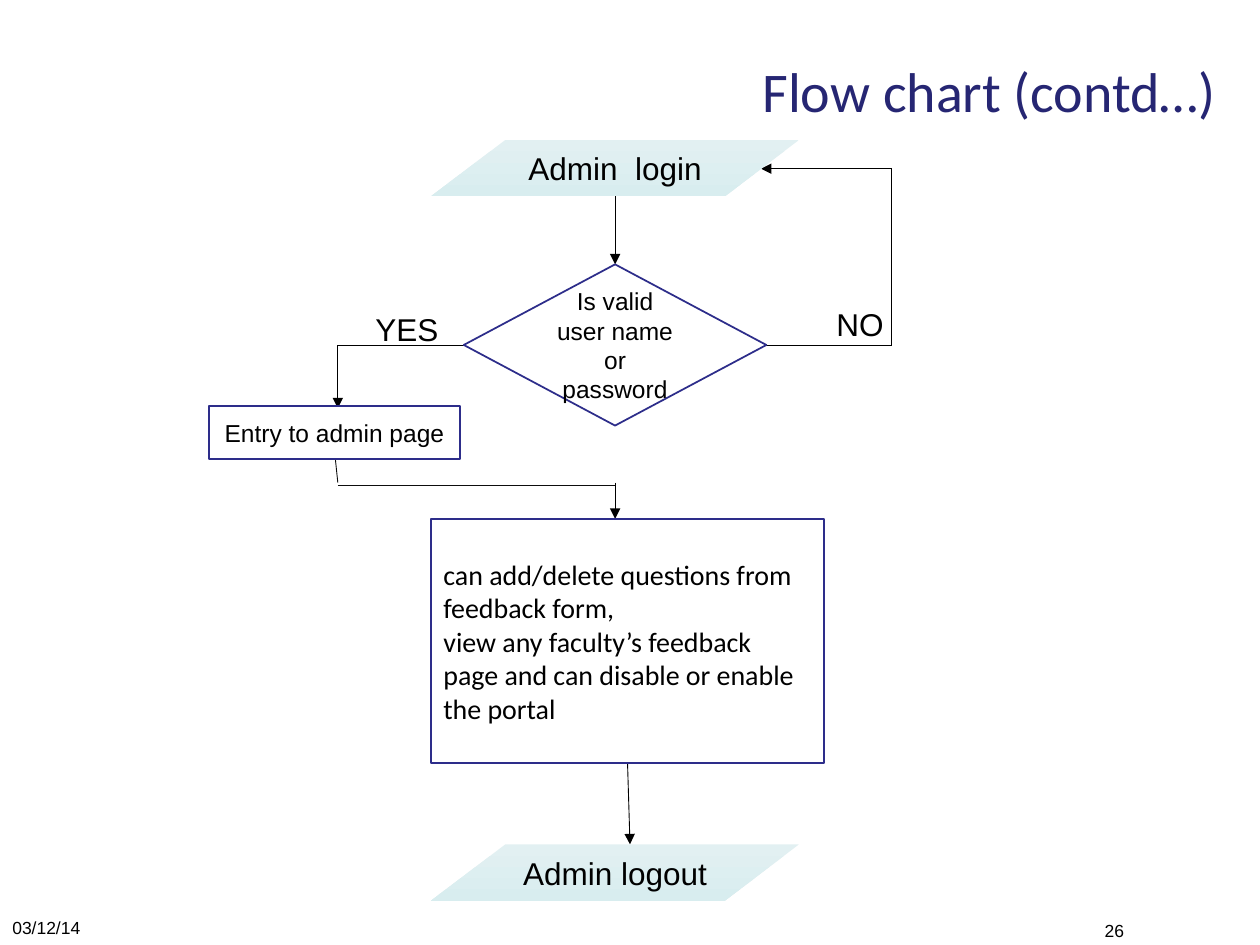
from lxml import etree
from pptx import Presentation
from pptx import util as u
from pptx.dml.color import RGBColor
from pptx.enum import shapes, text
from pptx.oxml import ns

COLORS = {
    "ink": "000000",
    "return": "0D0D0D",
    "outline": "2D2D8A",
    "title": "262673",
    "paper": "FFFFFF",
    "terminal_top": "E2F0F2",
    "terminal_bottom": "D8EDEF",
}


def rgb(name):
    return RGBColor.from_string(COLORS[name])


def cm(*lengths):
    return [u.Cm(length) for length in lengths]


def write(frame, lines, size, font="Arial", color="ink", align=text.PP_ALIGN.LEFT,
          anchor=text.MSO_ANCHOR.MIDDLE, wrap=True):
    frame.word_wrap = wrap
    frame.vertical_anchor = anchor
    for i, line in enumerate(lines):
        paragraph = frame.paragraphs[0] if i == 0 else frame.add_paragraph()
        paragraph.alignment = align
        run = paragraph.add_run()
        run.text = line
        run.font.size = u.Pt(size)
        run.font.name = font
        run.font.color.rgb = rgb(color)


def label(slide, box, words, size, anchor=text.MSO_ANCHOR.TOP, **style):
    frame = slide.shapes.add_textbox(*cm(*box)).text_frame
    write(frame, [words], size, anchor=anchor, **style)


def step(slide, kind, box, lines, size, **style):
    """An outlined white process box or decision."""
    node = slide.shapes.add_shape(kind, *cm(*box))
    node.shadow.inherit = False
    node.fill.solid()
    node.fill.fore_color.rgb = rgb("paper")
    node.line.color.rgb = rgb("outline")
    node.line.width = u.Pt(1)
    write(node.text_frame, lines, size, **style)


def terminal(slide, top, words):
    """A shaded parallelogram that starts or ends the flow."""
    node = slide.shapes.add_shape(
        shapes.MSO_SHAPE.PARALLELOGRAM, *cm(8.69, top, 7.42, 1.14))
    node.adjustments[0] = 1.317
    node.shadow.inherit = False
    node.line.fill.background()
    node.fill.gradient()
    node.fill.gradient_angle = 270
    for stop, name in zip(node.fill.gradient_stops, ("terminal_top", "terminal_bottom")):
        stop.color.rgb = rgb(name)
    write(node.text_frame, [words], 18, align=text.PP_ALIGN.CENTER)


def flow(slide, start, end, arrow=False, color="ink"):
    link = slide.shapes.add_connector(
        shapes.MSO_CONNECTOR.STRAIGHT, *cm(*start, *end))
    link.line.color.rgb = rgb(color)
    link.line.width = u.Pt(0.5)
    if arrow:
        tail = etree.SubElement(link.line._get_or_add_ln(), ns.qn("a:tailEnd"))
        tail.set("type", "triangle")
    etree.SubElement(link._element.spPr, ns.qn("a:effectLst"))


def main():
    deck = Presentation()
    deck.slide_width, deck.slide_height = cm(25.4, 19.05)
    slide = deck.slides.add_slide(deck.slide_layouts[6])
    center = text.PP_ALIGN.CENTER

    # Title and footer
    label(slide, (14.28, 0.23, 11.33, 3.18), "Flow chart (contd…)", 32,
          font="Calibri", color="title", align=center, anchor=text.MSO_ANCHOR.MIDDLE)
    label(slide, (0, 18.36, 5.92, 0.69), "03/12/14", 10)
    label(slide, (22.02, 18.42, 3.38, 0.64), "26", 10)

    # Columns and the height of the decision's corners
    main_x, yes_x, no_x, decision_y = 12.4, 6.81, 17.98, 6.96

    # Login to decision, and the NO branch back to login
    flow(slide, (main_x, 3.96), (main_x, 5.33), arrow=True)
    flow(slide, (15.42, decision_y), (no_x, decision_y))
    flow(slide, (no_x, decision_y), (no_x, 3.4))
    flow(slide, (no_x, 3.4), (15.34, 3.4), arrow=True)

    # YES branch to the admin page, then on to the tasks and logout
    flow(slide, (9.35, decision_y), (yes_x, decision_y))
    flow(slide, (yes_x, decision_y), (yes_x, 8.23), arrow=True)
    flow(slide, (6.76, 9.25), (yes_x, 9.73), color="return")
    flow(slide, (yes_x, 9.78), (main_x, 9.78), color="return")
    flow(slide, (main_x, 9.73), (main_x, 10.46), arrow=True)
    flow(slide, (12.65, 15.37), (12.7, 17.02), arrow=True)

    # Steps
    terminal(slide, 2.82, "Admin  login")
    step(slide, shapes.MSO_SHAPE.DIAMOND, (9.35, 5.33, 6.1, 3.25),
         ["Is valid user name or password"], 14, align=center)
    step(slide, shapes.MSO_SHAPE.RECTANGLE, (4.22, 8.18, 5.05, 1.07),
         ["Entry to admin page"], 14, align=center)
    step(slide, shapes.MSO_SHAPE.RECTANGLE, (8.69, 10.46, 7.92, 4.93),
         ["can add/delete questions from feedback form,",
          "view any faculty’s feedback page and can disable or enable the portal"],
         16, font="Calibri")
    terminal(slide, 17.02, "Admin logout")

    # Branch labels
    label(slide, (16.61, 6.02, 1.6, 1.02), "NO", 18)
    label(slide, (7.32, 6.12, 1.96, 1.02), "YES", 18, wrap=False)

    deck.save("out.pptx")


if __name__ == "__main__":
    main()
